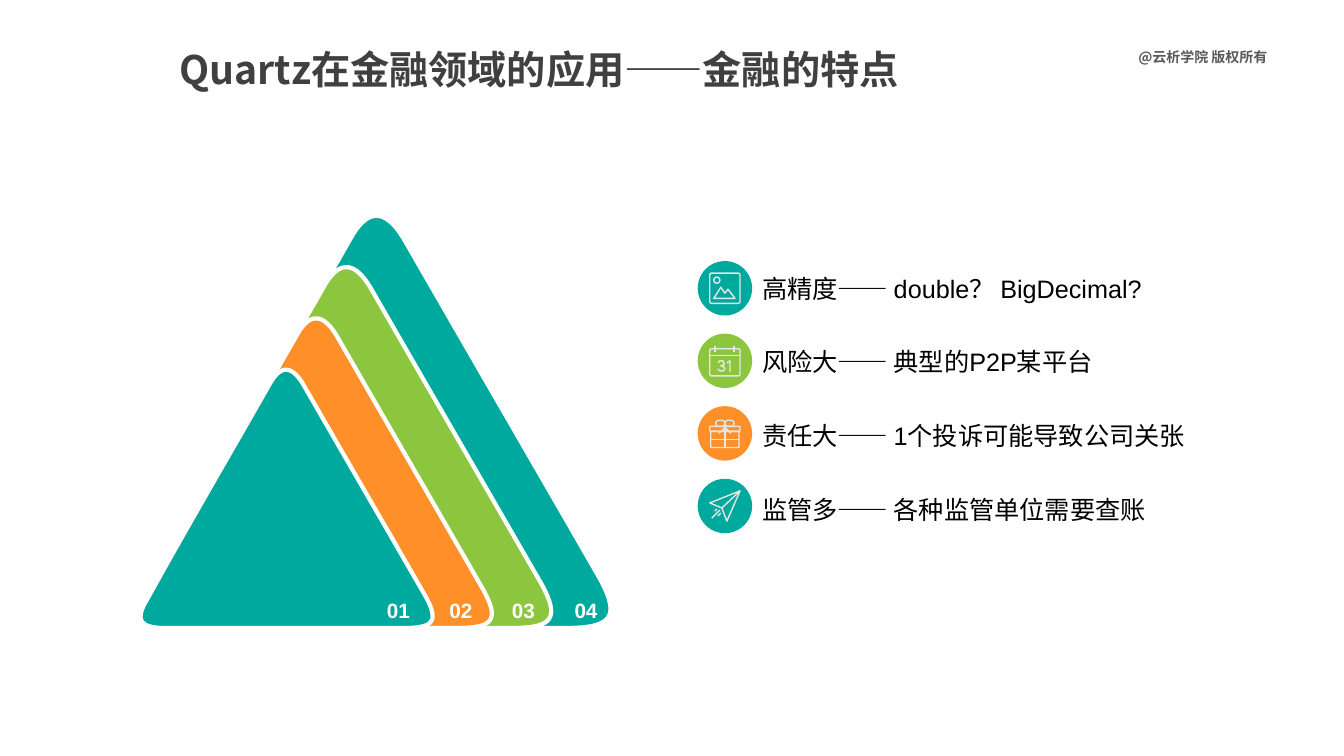
from math import cos, pi, sin

from pptx import Presentation
from pptx.dml.color import RGBColor
from pptx.enum.shapes import MSO_SHAPE as Shape
from pptx.enum.text import MSO_ANCHOR as Anchor, MSO_AUTO_SIZE as AutoSize, PP_ALIGN as Align
from pptx.util import Inches, Pt

TEAL = RGBColor(0x00, 0xA9, 0x9D)
GREEN = RGBColor(0x8C, 0xC6, 0x3F)
ORANGE = RGBColor(0xFF, 0x8F, 0x29)
WHITE = RGBColor(0xFF, 0xFF, 0xFF)
BLACK = RGBColor(0x00, 0x00, 0x00)
ICON_GREY = RGBColor(0xE7, 0xE6, 0xE6)
TITLE_GREY = RGBColor(0x40, 0x40, 0x40)
NOTICE_GREY = RGBColor(0x59, 0x59, 0x59)
LATIN, CJK = "Arial", "Noto Sans CJK SC"

# Rounded triangle in a 4.82 by 4.18 box: a start, then cubic curves
TRIANGLE_WIDTH, TRIANGLE_HEIGHT = 4.82, 4.18
TRIANGLE_START = (2.39, 4.18)
TRIANGLE_CURVES = [
    ((1.77, 4.18), (1.14, 4.18), (0.49, 4.18)),
    ((0.10, 4.18), (0.00, 4.06), (0.21, 3.72)),
    ((0.84, 2.58), (1.49, 1.47), (2.14, 0.33)),
    ((2.30, 0.03), (2.48, 0.00), (2.67, 0.31)),
    ((3.32, 1.44), (3.97, 2.56), (4.62, 3.69)),
    ((4.82, 4.06), (4.75, 4.18), (4.29, 4.18)),
    ((3.67, 4.18), (3.04, 4.18), (2.39, 4.18)),
]


def ring(left, top, width, height, radius):
    """Points of a closed rounded rectangle; a large radius gives a circle."""
    corners = [(left + width - radius, top + height - radius), (left + radius, top + height - radius),
               (left + radius, top + radius), (left + width - radius, top + radius)]
    points = [(x + radius * cos((quarter + step / 6) * pi / 2),
               y + radius * sin((quarter + step / 6) * pi / 2))
              for quarter, (x, y) in enumerate(corners) for step in range(7)]
    return points + points[:1]


# Icon strokes, in inches from the corner of the icon
LANDSCAPE = [
    ring(0.01, 0.01, 0.3, 0.3, 0.02),
    ring(0.05, 0.05, 0.06, 0.06, 0.03),
    [(0.05, 0.26), (0.12, 0.15), (0.16, 0.21), (0.19, 0.17), (0.26, 0.26), (0.05, 0.26)],
]
CALENDAR = [
    ring(0.01, 0.04, 0.3, 0.27, 0.02),
    [(0.01, 0.11), (0.31, 0.11)],
    [(0.06, 0.01), (0.06, 0.07)],
    [(0.25, 0.01), (0.25, 0.07)],
    [(0.09, 0.18), (0.11, 0.16), (0.14, 0.16), (0.15, 0.18), (0.15, 0.2), (0.12, 0.21),
     (0.15, 0.22), (0.16, 0.24), (0.14, 0.26), (0.11, 0.26), (0.09, 0.24)],
    [(0.18, 0.18), (0.21, 0.16), (0.21, 0.27)],
]
GIFT = [
    ring(0.01, 0.09, 0.3, 0.05, 0.01),
    ring(0.02, 0.14, 0.28, 0.16, 0.01),
    ring(0.07, 0.03, 0.09, 0.06, 0.03),
    ring(0.16, 0.03, 0.09, 0.06, 0.03),
    [(0.16, 0.09), (0.16, 0.3)],
    [(0.02, 0.22), (0.3, 0.22)],
    [(0.1, 0.16), (0.16, 0.1), (0.22, 0.16)],
]
PAPER_PLANE = [
    [(0.01, 0.13), (0.31, 0.01), (0.18, 0.31), (0.13, 0.18), (0.01, 0.13)],
    [(0.13, 0.18), (0.31, 0.01)],
    [(0.03, 0.28), (0.11, 0.2)],
    [(0.09, 0.26), (0.12, 0.23)],
    [(0.06, 0.21), (0.08, 0.19)],
]


def outline(slide, left, top, strokes, line_color, line_width, fill=None):
    """Draw one freeform from lists of points."""
    contours = [[(Inches(x), Inches(y)) for x, y in stroke] for stroke in strokes]
    pen = slide.shapes.build_freeform(*contours[0][0])
    for contour in contours:
        pen.move_to(*contour[0])
        pen.add_line_segments(contour[1:], close=fill is not None)
    drawing = pen.convert_to_shape(Inches(left), Inches(top))
    drawing.shadow.inherit = False
    drawing.line.color.rgb = line_color
    drawing.line.width = Pt(line_width)
    if fill is None:
        drawing.fill.background()
    else:
        drawing.fill.solid()
        drawing.fill.fore_color.rgb = fill


def write(frame, text, size, font_name, color, bold=False, align=Align.LEFT, anchor=Anchor.TOP):
    frame.word_wrap = True
    frame.auto_size = AutoSize.NONE
    frame.vertical_anchor = anchor
    paragraph = frame.paragraphs[0]
    paragraph.text = text
    paragraph.alignment = align
    font = paragraph.font
    font.size, font.name, font.bold = Pt(size), font_name, bold
    font.color.rgb = color


def label(slide, box, *args, **kwargs):
    write(slide.shapes.add_textbox(*map(Inches, box)).text_frame, *args, **kwargs)


def add_header(slide, box):
    left, top, width, height = box
    title = slide.shapes.title
    title.left, title.top = Inches(left), Inches(top)
    title.width, title.height = Inches(8.22), Inches(height)
    write(title.text_frame, "Quartz在金融领域的应用——金融的特点", 28, CJK, TITLE_GREY, bold=True)
    label(slide, (left + width - 1.66, top + 0.01, 1.66, 0.31), "@云析学院 版权所有",
          10, CJK, NOTICE_GREY, bold=True, align=Align.CENTER, anchor=Anchor.MIDDLE)


def triangle_points(scale, steps=16):
    points, start = [TRIANGLE_START], TRIANGLE_START
    for first, second, end in TRIANGLE_CURVES:
        for step in range(1, steps + 1):
            t = step / steps
            points.append(tuple((1 - t) ** 3 * a + 3 * (1 - t) ** 2 * t * b
                                + 3 * (1 - t) * t ** 2 * c + t ** 3 * d
                                for a, b, c, d in zip(start, first, second, end)))
        start = end
    return [(x * scale, y * scale) for x, y in points]


def add_triangles(slide, box):
    """Nested triangles share the lower left corner; the largest lies at the back."""
    left, top, width, height = box
    colors = [TEAL, GREEN, ORANGE, TEAL]
    for index, color in enumerate(colors):
        scale = (width - 0.6 * index) / TRIANGLE_WIDTH
        outline(slide, left, top + height - TRIANGLE_HEIGHT * scale,
                [triangle_points(scale)], WHITE, 3, color)
    for index in range(len(colors)):
        label(slide, (left + 2.41 + 0.62 * index, top + height - 0.35, 0.64, 0.33),
              f"{index + 1:02}", 14.8, LATIN, WHITE, bold=True)


def add_features(slide, box):
    left, top, width, _ = box
    diameter = 0.54
    features = [
        (TEAL, LANDSCAPE, "高精度—— double？ BigDecimal?"),
        (GREEN, CALENDAR, "风险大—— 典型的P2P某平台"),
        (ORANGE, GIFT, "责任大—— 1个投诉可能导致公司关张"),
        (TEAL, PAPER_PLANE, "监管多—— 各种监管单位需要查账"),
    ]
    for index, (color, icon, feature) in enumerate(features):
        badge_top = top + 0.72 * index
        badge = slide.shapes.add_shape(Shape.OVAL, Inches(left), Inches(badge_top),
                                       Inches(diameter), Inches(diameter))
        badge.shadow.inherit = False
        badge.fill.solid()
        badge.fill.fore_color.rgb = color
        badge.line.fill.background()
        outline(slide, left + 0.11, badge_top + 0.11, icon, ICON_GREY, 1)
        label(slide, (left + diameter, top + 0.07 + 0.73 * index, width - diameter, 0.4),
              feature, 18, LATIN, BLACK)


def main():
    deck = Presentation()
    deck.slide_width, deck.slide_height = Inches(13.33), Inches(7.5)
    slide = deck.slides.add_slide(deck.slide_layouts[5])
    add_header(slide, (1.68, 0.4, 11.08, 0.78))
    add_triangles(slide, (1.33, 2.05, TRIANGLE_WIDTH, TRIANGLE_HEIGHT))
    add_features(slide, (6.92, 2.59, 5.13, 2.69))
    deck.save("out.pptx")


if __name__ == "__main__":
    main()
